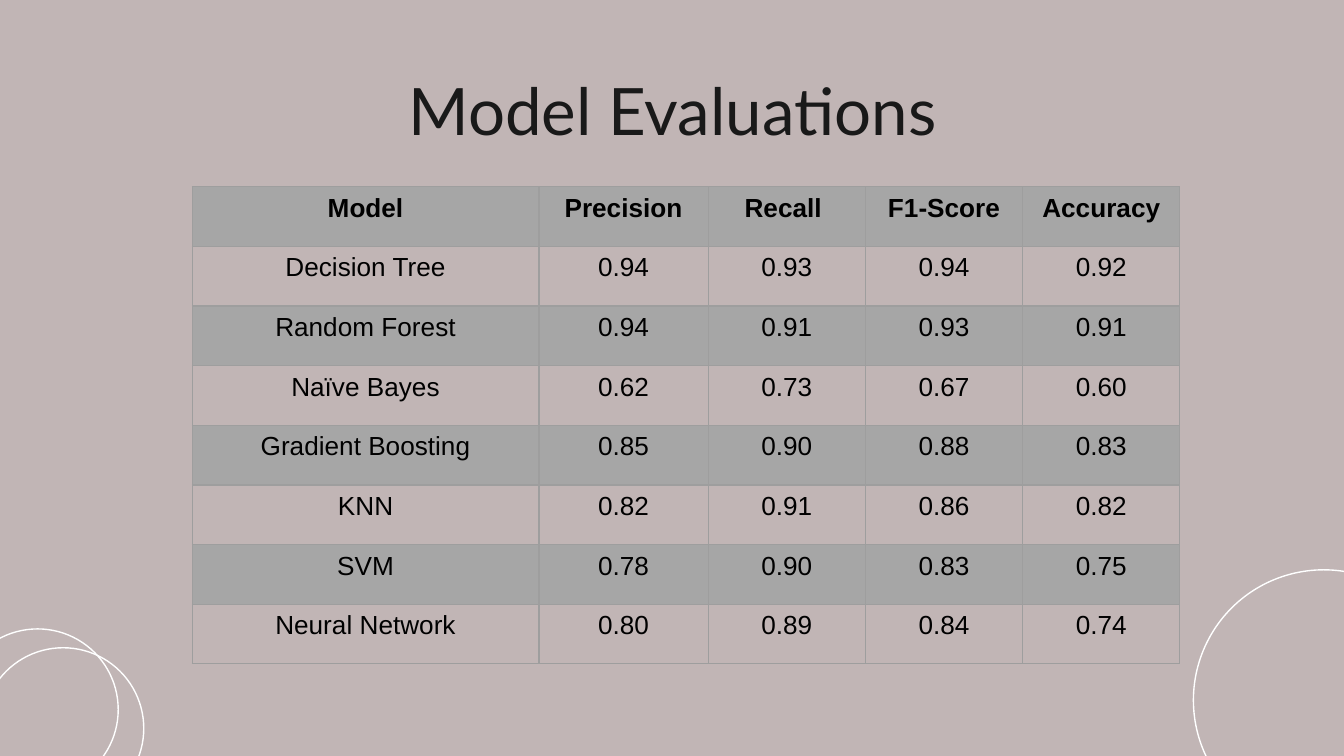
from lxml.etree import SubElement
from pptx import Presentation
from pptx.dml.color import RGBColor as RGB
from pptx.enum.shapes import MSO_SHAPE as Shape
from pptx.enum.text import MSO_ANCHOR as Anchor, MSO_AUTO_SIZE as Fit, PP_ALIGN as Align
from pptx.oxml.ns import qn
from pptx.util import Inches, Pt

WIDE = 10
HIGH = WIDE * 9 / 16
TITLE = "Model Evaluations"
HEAD = (" Model ", "Precision", "Recall ", "F1-Score", "Accuracy")
SCORES = [
    ("Decision Tree", 0.94, 0.93, 0.94, 0.92),
    ("Random Forest", 0.94, 0.91, 0.93, 0.91),
    ("Naïve Bayes", 0.62, 0.73, 0.67, 0.60),
    ("Gradient Boosting", 0.85, 0.90, 0.88, 0.83),
    ("KNN", 0.82, 0.91, 0.86, 0.82),
    ("SVM", 0.78, 0.90, 0.83, 0.75),
    ("Neural Network", 0.80, 0.89, 0.84, 0.74),
]
WIDTHS = (2.58, 1.26, 1.17, 1.17, 1.17)
TABLE_TOP, TABLE_HIGH = 1.39, 3.55
CIRCLES = [(8.88, 4.24, 1.94), (-0.32, 4.68, 1.2), (-0.13, 4.82, 1.2)]  # left, top, size
COLORS = {"back": "C1B5B5", "title": "191919", "text": "000000",
          "band": "A6A6A6", "grid": "9E9E9E", "ring": "FFFFFF"}


def color(name):
    return RGB.from_string(COLORS[name])


def add_run(para, text, font, size, hue, bold=False):
    para.alignment = Align.CENTER
    run = para.add_run()
    run.text = text
    run.font.name = font
    run.font.size = Pt(size)
    run.font.bold = bold
    run.font.color.rgb = color(hue)


def add_ring(slide, left, top, size):
    ring = slide.shapes.add_shape(
        Shape.OVAL, Inches(left), Inches(top), Inches(size), Inches(size))
    ring.shadow.inherit = False
    ring.fill.background()
    ring.line.color.rgb = color("ring")
    ring.line.width = Pt(0.75)


def set_title(slide):
    title = slide.shapes.title
    title.left, title.top = Inches(0.79), Inches(0.49)
    title.width, title.height = Inches(8.43), Inches(0.63)
    frame = title.text_frame
    frame.auto_size = Fit.NONE
    frame.vertical_anchor = Anchor.TOP
    frame.margin_left = frame.margin_right = Inches(0.1)
    frame.margin_top = frame.margin_bottom = Inches(0.1)
    para = frame.paragraphs[0]
    para.line_spacing = 0.9
    para.space_before = Pt(0)
    para.space_after = Pt(16)
    add_run(para, TITLE, "Lato", 35, "title")


def set_edges(cell):
    """Draw the four borders; they must come before the fill in tcPr."""
    props = cell._tc.get_or_add_tcPr()
    for side in ("a:lnL", "a:lnR", "a:lnT", "a:lnB"):
        line = SubElement(props, qn(side), w=str(Pt(0.75)))
        fill = SubElement(line, qn("a:solidFill"))
        SubElement(fill, qn("a:srgbClr"), val=COLORS["grid"])


def add_scores(slide):
    rows = [HEAD] + [(name, *(f"{score:.2f}" for score in scores))
                     for name, *scores in SCORES]
    table = slide.shapes.add_table(
        len(rows), len(HEAD), Inches(1.43), Inches(TABLE_TOP),
        Inches(sum(WIDTHS)), Inches(TABLE_HIGH)).table
    for col, width in zip(table.columns, WIDTHS):
        col.width = Inches(width)
    for r, row in enumerate(rows):
        for c, text in enumerate(row):
            cell = table.cell(r, c)
            set_edges(cell)
            if r % 2:
                cell.fill.background()
            else:
                cell.fill.solid()
                cell.fill.fore_color.rgb = color("band")
            add_run(cell.text_frame.paragraphs[0], text, "Arial", 14, "text", r == 0)


def main():
    deck = Presentation()
    deck.slide_width, deck.slide_height = Inches(WIDE), Inches(HIGH)
    slide = deck.slides.add_slide(deck.slide_layouts[5])
    slide.background.fill.solid()
    slide.background.fill.fore_color.rgb = color("back")
    for circle in CIRCLES:
        add_ring(slide, *circle)
    set_title(slide)
    add_scores(slide)
    deck.save("out.pptx")


if __name__ == "__main__":
    main()
